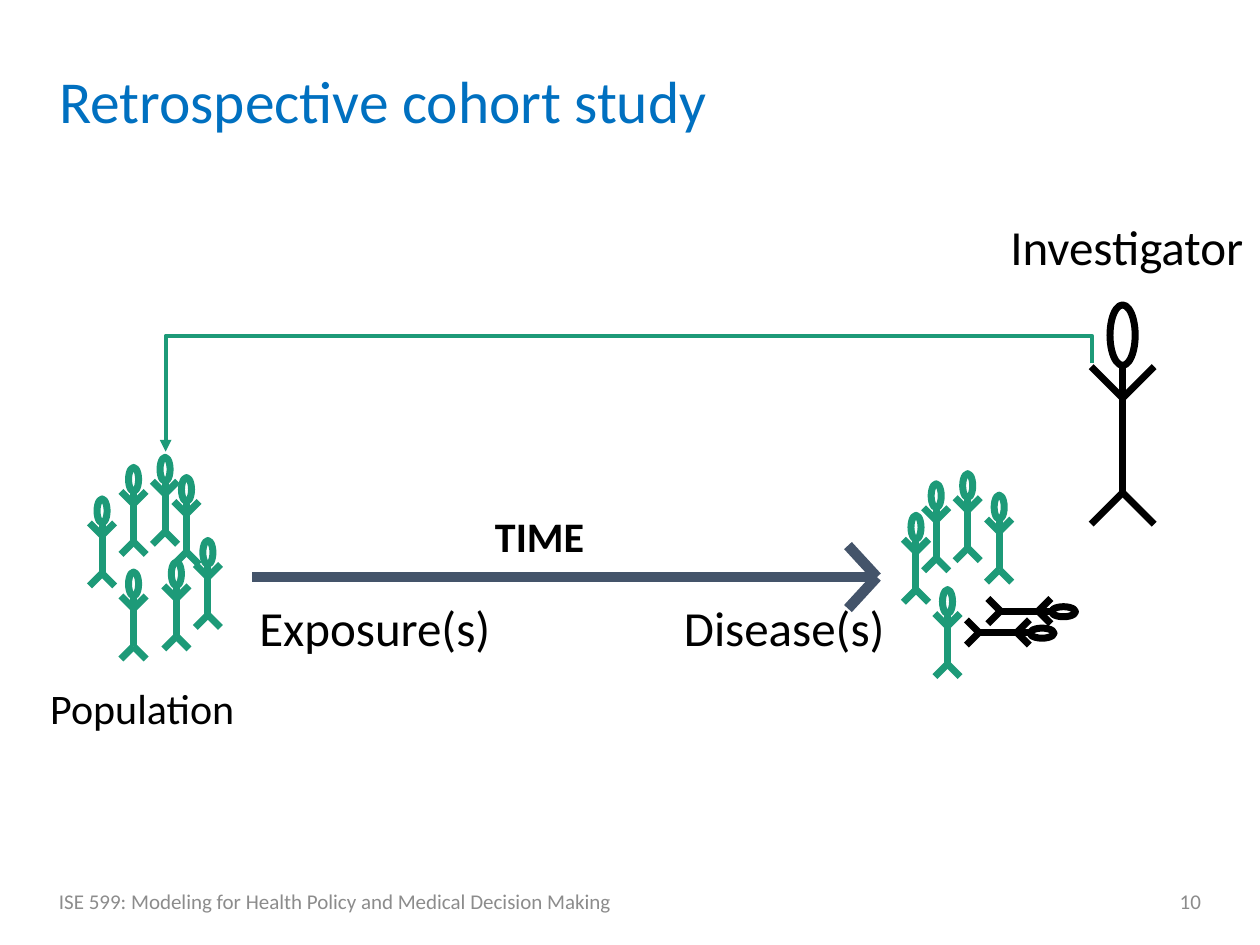
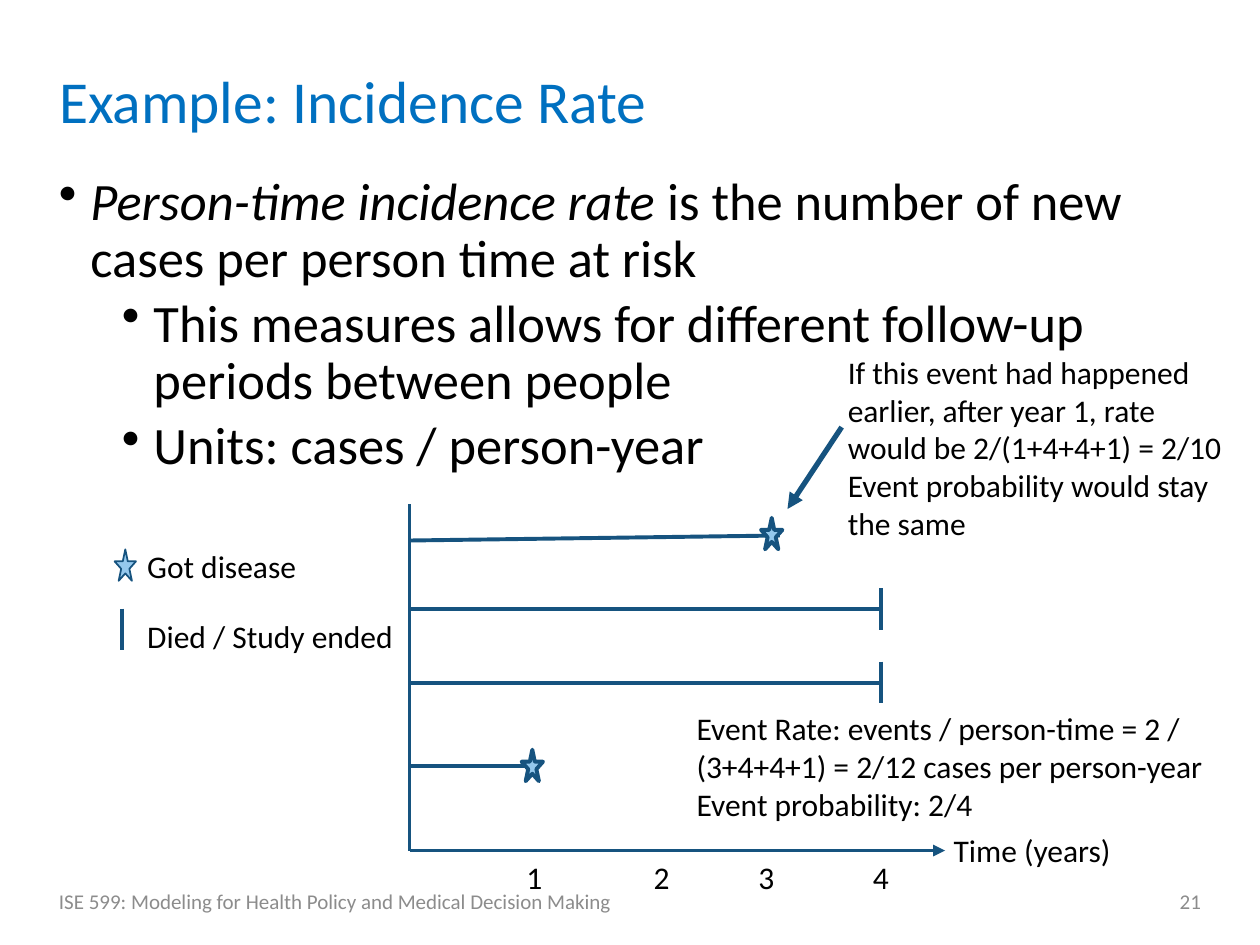
from lxml import etree
from pptx import Presentation
from pptx import util as u
from pptx.dml.color import RGBColor
from pptx.enum import shapes, text
from pptx.oxml.ns import qn

PX = 9144  # 100 px to the inch
FONT = "Calibri"
COLORS = {
    "title": "0070C0", "text": "000000", "footer": "8C8C8C", "white": "FFFFFF",
    "healthy": "1D9A78", "black": "000000", "time": "44546A",
    "chart": "16537F", "star": "94C8ED",
}
LEFT, MIDDLE, RIGHT = text.PP_ALIGN.LEFT, text.MSO_ANCHOR.MIDDLE, text.PP_ALIGN.RIGHT


def add_text(s, content, box, size=18, color="text", bold=False, align=LEFT,
             anchor=text.MSO_ANCHOR.TOP, wrap=True, spacing=None, bullets=None, sp=None):
    """Fill sp or a new text box; *stars* mark italics, bullets lists (margin, space before)."""
    box = [n * PX for n in box]
    if sp is None:
        sp = s.shapes.add_textbox(*box)
    sp.left, sp.top, sp.width, sp.height = box
    tf = sp.text_frame
    tf.word_wrap = wrap
    tf.auto_size = text.MSO_AUTO_SIZE.NONE if wrap else text.MSO_AUTO_SIZE.SHAPE_TO_FIT_TEXT
    tf.vertical_anchor = anchor
    for i, line in enumerate(content.split("\n")):
        p = tf.add_paragraph() if i else tf.paragraphs[0]
        if bullets:
            margin, before = bullets[i]
            pPr = p._p.get_or_add_pPr()
            pPr.set("marL", str(margin * PX))
            pPr.set("indent", str(-25 * PX))
            etree.SubElement(pPr, qn("a:buChar")).set("char", "•")
            p.space_before = u.Pt(before)
        p.alignment = align
        if spacing:
            p.line_spacing = spacing
        for j, part in enumerate(line.split("*")):
            if part:
                r = p.add_run()
                r.text = part
                r.font.name, r.font.size = FONT, u.Pt(size)
                r.font.bold, r.font.italic = bold, j % 2 == 1
                r.font.color.rgb = RGBColor.from_string(COLORS[color])


def add_line(s, x1, y1, x2, y2, color="chart", width=2.25, arrow=False,
             kind=shapes.MSO_CONNECTOR.STRAIGHT):
    c = s.shapes.add_connector(kind, *[round(n * PX) for n in (x1, y1, x2, y2)])
    c.line.color.rgb = RGBColor.from_string(COLORS[color])
    c.line.width = u.Pt(width)
    if arrow:
        etree.SubElement(c.line._get_or_add_ln(), qn("a:tailEnd")).set("type", "triangle")
    etree.SubElement(c._element.spPr, qn("a:effectLst"))
    return c


prs = Presentation()
prs.slide_width, prs.slide_height = 1000 * PX, 750 * PX

# Title and footer of every slide
slides = []
for title, number in [("Retrospective cohort study", "10"), ("Example: Incidence Rate", "21")]:
    s = prs.slides.add_slide(prs.slide_layouts[5])
    add_text(s, title, (37, 40, 926, 85), size=34, color="title", anchor=MIDDLE,
             spacing=0.9, sp=s.shapes.title)
    add_text(s, "ISE 599: Modeling for Health Policy and Medical Decision Making",
             (37, 695, 567, 40), size=12, color="footer", anchor=MIDDLE)
    add_text(s, number, (721, 695, 242, 40), size=12, color="footer", anchor=MIDDLE, align=RIGHT)
    slides.append(s)
cohort, incidence = slides

# Cohort study: stick figures, placed by the neck
population = [(131, 372), (148, 388), (165, 438), (140, 455), (81, 405), (106, 463), (106, 380)]
survivors = [(768, 385), (793, 402), (727, 418), (752, 477), (743, 393)]
deceased = [(844, 485), (827, 502)]
people = [(x, y, 10, "healthy", False) for x, y in population + survivors]
people += [(x, y, 10, "black", True) for x, y in deceased]
people.append((891, 266, 25, "black", False))  # investigator
limbs = [(0, 0, 0, 5), (0, 2, 1, 1), (-1, 1, 0, 2), (0, 5, -1, 6), (0, 5, 1, 6)]

for x, y, unit, color, lying in people:
    for x1, y1, x2, y2 in limbs:
        if lying:
            x1, y1, x2, y2 = -y1, x1, -y2, x2
        add_line(cohort, x + x1 * unit, y + y1 * unit, x + x2 * unit, y + y2 * unit, color, 4)
    w, h = round(0.8 * unit), round(1.9 * unit)
    head = cohort.shapes.add_shape(shapes.MSO_SHAPE.OVAL, (x - w // 2) * PX, (y - h // 2) * PX,
                                   w * PX, h * PX)
    head.rotation = 90 if lying else 0
    head.shadow.inherit = False
    head.fill.solid()
    head.fill.fore_color.rgb = RGBColor.from_string(COLORS["white"])
    head.line.color.rgb = RGBColor.from_string(COLORS[color])
    head.line.width = u.Pt(4)

# Time arrow with an open head
for x, y in [(200, 458), (673, 433), (673, 483)]:
    add_line(cohort, x, y, 696, 458, "time", 6)

# The investigator looks back at the population: an elbow turned to leave upwards
look_back = add_line(cohort, 464, -44, 534, 691, "healthy", arrow=True,
                     kind=shapes.MSO_CONNECTOR.ELBOW)
xfrm = look_back._element.spPr.find(qn("a:xfrm"))
for key, value in [("rot", "16200000"), ("flipH", "1"), ("flipV", "1")]:
    xfrm.set(key, value)
bend = etree.SubElement(look_back._element.spPr.find(".//" + qn("a:avLst")), qn("a:gd"))
bend.set("name", "adj1")
bend.set("fmla", "val -31500")

for label, box, size in [
    ("Exposure(s)", (196, 469, 205, 57), 28),
    ("Disease(s)", (533, 469, 181, 57), 28),
    ("Investigator", (792, 167, 207, 57), 28),
    ("Population", (30, 537, 168, 51), 24),
]:
    add_text(cohort, label, box, size=size, wrap=False)
add_text(cohort, "TIME", (383, 400, 208, 45), size=24, bold=True)

# Incidence rate: definition
add_text(incidence,
         "*Person-time incidence rate *is the number of new cases per person time at risk\n"
         "This measures allows for different follow-up periods between people\n"
         "Units: cases / person-year",
         (37, 134, 926, 552), size=30, spacing=0.9, bullets=[(25, 0), (75, 5), (75, 5)])

# Axes and one follow-up line per person
add_line(incidence, 325, 400, 325, 675)
add_line(incidence, 325, 675, 750, 675, arrow=True)
for y1, x2, y2 in [(429, 619, 425), (483, 700, 483), (542, 699, 542), (608, 417, 608)]:
    add_line(incidence, 325, y1, x2, y2)

# Event stars and end-of-study bars, each with its legend mark last
for x, y, width in [(604, 411, 2.25), (414, 595, 2.25), (91, 436, 1)]:
    star = incidence.shapes.add_shape(shapes.MSO_SHAPE.STAR_5_POINT, x * PX, y * PX,
                                      17 * PX, 25 * PX)
    star.shadow.inherit = False
    star.fill.solid()
    star.fill.fore_color.rgb = RGBColor.from_string(COLORS["star"])
    star.line.color.rgb = RGBColor.from_string(COLORS["chart"])
    star.line.width = u.Pt(width)
for x, y in [(699, 467), (699, 525), (97, 483)]:
    add_line(incidence, x, y, x, y + 33)

for label, x, y, w in [("Got disease", 107, 429, 140), ("Died / Study ended", 107, 485, 218),
                       ("Time (years)", 747, 655, 146)]:
    add_text(incidence, label, (x, y, w, 40), wrap=False)
for year, x in enumerate([408, 509, 592, 683], start=1):
    add_text(incidence, str(year), (x, 676, 33, 40), wrap=False)

add_text(incidence,
         "Event Rate: events / person-time = 2 / (3+4+4+1) = 2/12 cases per person-year\n"
         "Event probability: 2/4", (543, 558, 430, 101))
add_text(incidence,
         "If this event had happened earlier, after year 1, rate would be 2/(1+4+4+1) = 2/10\n"
         "Event probability would stay the same", (663, 275, 325, 162))
add_line(incidence, 668, 339, 625, 404, width=3, arrow=True)

prs.save("out.pptx")
